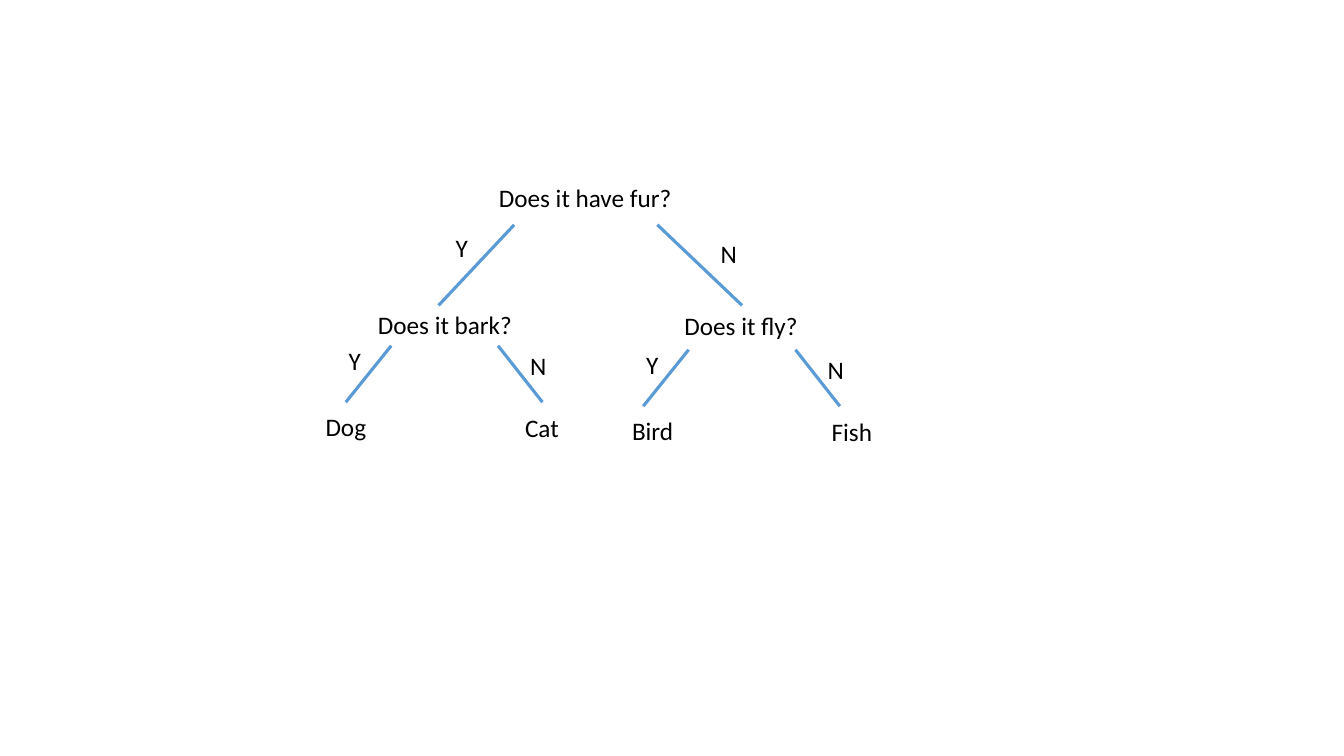
from dataclasses import dataclass

from pptx import Presentation
from pptx import util as u
from pptx.dml.color import RGBColor
from pptx.enum import shapes, text
from pptx.oxml.ns import qn


@dataclass(frozen=True)
class Theme:
    """Colours, font and sizes of the slide."""
    font: str = "Calibri"
    size: float = 18
    ink: RGBColor = RGBColor(0, 0, 0)
    branch: RGBColor = RGBColor(0x5B, 0x9B, 0xD5)
    branch_width: float = 2.25
    label_height: float = 0.4


THEME = Theme()


def add_label(slide, x, y, width, words):
    """Add one unwrapped line of text."""
    sp = slide.shapes.add_textbox(*map(u.Inches, (x, y, width, THEME.label_height)))
    tf = sp.text_frame
    tf.word_wrap = False
    tf.auto_size = text.MSO_AUTO_SIZE.SHAPE_TO_FIT_TEXT
    p = tf.paragraphs[0]
    p.text = words
    p.font.name = THEME.font
    p.font.size = u.Pt(THEME.size)
    p.font.color.rgb = THEME.ink


def add_branch(slide, x1, y1, x2, y2):
    """Add one straight branch of the tree."""
    line = slide.shapes.add_connector(
        shapes.MSO_CONNECTOR.STRAIGHT, *map(u.Inches, (x1, y1, x2, y2)))
    line.line.color.rgb = THEME.branch
    line.line.width = u.Pt(THEME.branch_width)
    sp_pr = line._element.spPr
    sp_pr.append(sp_pr.makeelement(qn("a:effectLst"), {}))


def add_split(slide, box, insets, yes_at, no_at):
    """Fill the box with a yes and a no branch; answers sit relative to it."""
    x, y, width, height = box
    yes_inset, no_inset = insets
    add_branch(slide, x + yes_inset, y, x, y + height)
    add_branch(slide, x + width - no_inset, y, x + width, y + height)
    for answer, (dx, dy), label_width in (("Y", yes_at, 0.32), ("N", no_at, 0.36)):
        add_label(slide, x + dx, y + dy, label_width, answer)


def add_root(slide, box):
    """Add the first question and its split."""
    x, y, _, _ = box
    add_label(slide, x + 0.5, y - 0.47, 1.93, "Does it have fur?")
    add_split(slide, box, (0.75, 0.84), (0.07, 0.03), (2.7, 0.09))


def add_subtree(slide, box, shift, rise, question, leaves):
    """Add a second question, its split and two animals.

    The wording moves right by shift; the question sits rise above the box.
    """
    x, y, width, height = box
    words, question_width = question
    add_label(slide, x + 0.22 + shift, y - rise, question_width, words)
    add_split(slide, box, (0.45, 0.44), (-0.07, -0.05), (1.73, 0))
    for (animal, leaf_width), dx, gap in zip(leaves, (-0.3, 1.68), (0.04, 0.05)):
        add_label(slide, x + dx + shift, y + height + gap, leaf_width, animal)


def main():
    """Build and save the decision tree."""
    prs = Presentation()
    prs.slide_width, prs.slide_height = u.Inches(13.33), u.Inches(7.5)
    slide = prs.slides.add_slide(prs.slide_layouts[6])
    add_root(slide, (4.35, 2.23, 3.01, 0.8))
    add_subtree(slide, (3.43, 3.43, 1.95, 0.56), 0, 0.41,
                ("Does it bark?", 1.55), (("Dog", 0.61), ("Cat", 0.54)))
    add_subtree(slide, (6.38, 3.47, 1.95, 0.56), 0.09, 0.44,
                ("Does it fly?", 1.34), (("Bird", 0.61), ("Fish", 0.61)))
    prs.save("out.pptx")


main()
